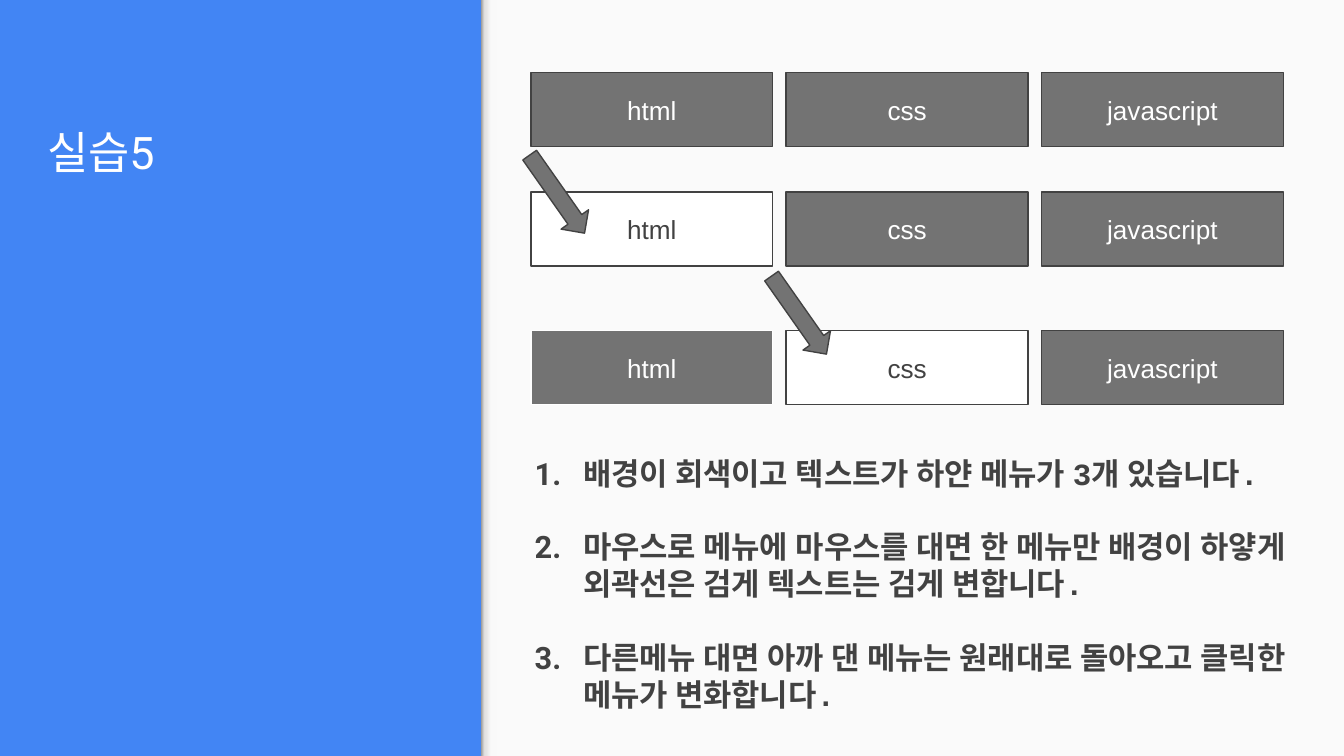
from lxml import etree
from pptx import Presentation
from pptx.dml.color import RGBColor
from pptx.enum.shapes import MSO_SHAPE
from pptx.enum.text import MSO_ANCHOR, PP_ALIGN
from pptx.oxml.ns import qn
from pptx.util import Inches, Pt

W = 10
H = W * 9 / 16
COLORS = {"blue": "4285F4", "panel": "FAFAFA", "gray": "737373",
          "dark": "424242", "white": "FFFFFF"}
TITLE = "실습5"
MENU = ["html", "css", "javascript"]
# Row top, highlighted column, column outlined in white
ROWS = [(0.54, None, None), (1.43, 0, None), (2.46, 1, 0)]
ARROWS = [(3.79, 1.32), (5.59, 2.22)]
STEPS = [
    "배경이 회색이고 텍스트가 하얀 메뉴가 3개 있습니다.",
    "마우스로 메뉴에 마우스를 대면 한 메뉴만 배경이 하얗게 외곽선은 검게 텍스트는 검게 변합니다.",
    "다른메뉴 대면 아까 댄 메뉴는 원래대로 돌아오고 클릭한 메뉴가 변화합니다.",
]
SHADE = [(0, "999999"), (20, "DEDEDE"), (64, "F9F9F9"), (100, "F9F9F9")]
PANEL_X, MENU_X, BUTTON_W, BUTTON_H, GAP = 3.58, 3.95, 1.8, 0.55, 0.1
KOREAN_FONT = "Roboto"


def rgb(name):
    return RGBColor.from_string(COLORS[name])


def add_shape(s, kind, box, fill, line=None):
    sp = s.shapes.add_shape(kind, *map(Inches, box))
    sp.shadow.inherit = False
    sp.fill.solid()
    sp.fill.fore_color.rgb = rgb(fill)
    if line:
        sp.line.color.rgb = rgb(line)
        sp.line.width = Pt(0.75)
    else:
        sp.line.fill.background()
    return sp


def set_frame(tf, anchor):
    tf.word_wrap = True
    tf.vertical_anchor = anchor
    for side in ("left", "right", "top", "bottom"):
        setattr(tf, f"margin_{side}", Inches(0.1))


def write(p, text, color, **font):
    r = p.add_run()
    r.text = text
    r.font.color.rgb = rgb(color)
    for name, value in font.items():
        setattr(r.font, name, value)
    etree.SubElement(r.font._element, qn("a:ea"), typeface=KOREAN_FONT)


def number(p, color):
    """Turn a paragraph into a numbered item with a hanging indent."""
    pPr = p._p.get_or_add_pPr()
    pPr.set("marL", str(Inches(0.5)))
    pPr.set("indent", str(Inches(-0.36)))
    clr = etree.SubElement(pPr, qn("a:buClr"))
    etree.SubElement(clr, qn("a:srgbClr"), val=COLORS[color])
    etree.SubElement(pPr, qn("a:buFont"), typeface=KOREAN_FONT)
    etree.SubElement(pPr, qn("a:buAutoNum"), type="arabicPeriod")


def add_panel(s):
    add_shape(s, MSO_SHAPE.RECTANGLE, (PANEL_X, 0, W - PANEL_X, H), "panel")
    edge = add_shape(s, MSO_SHAPE.RECTANGLE, (PANEL_X, 0, 0.12, H), "panel")
    edge.fill.gradient()
    edge.fill.gradient_angle = 0
    stops = edge._element.spPr.find(".//" + qn("a:gsLst"))
    for stop in list(stops):
        stops.remove(stop)
    for pos, color in SHADE:
        stop = etree.SubElement(stops, qn("a:gs"), pos=str(pos * 1000))
        etree.SubElement(stop, qn("a:srgbClr"), val=color)


def add_title(s):
    title = s.shapes.title
    title.left, title.top, title.width, title.height = map(
        Inches, (0.25, 0.39, 3.07, 1.04))
    set_frame(title.text_frame, MSO_ANCHOR.BOTTOM)
    p = title.text_frame.paragraphs[0]
    p.alignment = PP_ALIGN.LEFT
    write(p, TITLE, "white", size=Pt(24), name="Roboto")


def add_steps(s):
    tf = s.shapes.add_textbox(*map(Inches, (3.74, 3.28, 6.14, 2.42))).text_frame
    set_frame(tf, MSO_ANCHOR.TOP)
    for i, step in enumerate(STEPS):
        p = tf.add_paragraph() if i else tf.paragraphs[0]
        if i:
            p.space_before = Pt(19.8)
        number(p, "dark")
        write(p, step, "dark", size=Pt(16.5), bold=True, name="Courier New")


def add_menus(s):
    for top, active, pale in ROWS:
        for col, label in enumerate(MENU):
            fill, ink = ("white", "dark") if col == active else ("gray", "white")
            box = (MENU_X + col * (BUTTON_W + GAP), top, BUTTON_W, BUTTON_H)
            sp = add_shape(s, MSO_SHAPE.RECTANGLE, box, fill,
                           "white" if col == pale else "dark")
            set_frame(sp.text_frame, MSO_ANCHOR.MIDDLE)
            p = sp.text_frame.paragraphs[0]
            p.alignment = PP_ALIGN.CENTER
            write(p, label, ink, size=Pt(14), name="Arial")
    for left, top in ARROWS:
        arrow = add_shape(s, MSO_SHAPE.RIGHT_ARROW, (left, top, 0.71, 0.25),
                          "gray", "dark")
        arrow.rotation = 54.9


def main():
    prs = Presentation()
    prs.slide_width, prs.slide_height = Inches(W), Inches(H)
    s = prs.slides.add_slide(prs.slide_layouts[5])
    s.background.fill.solid()
    s.background.fill.fore_color.rgb = rgb("blue")
    add_panel(s)
    add_title(s)
    add_steps(s)
    add_menus(s)
    prs.save("out.pptx")


if __name__ == "__main__":
    main()
